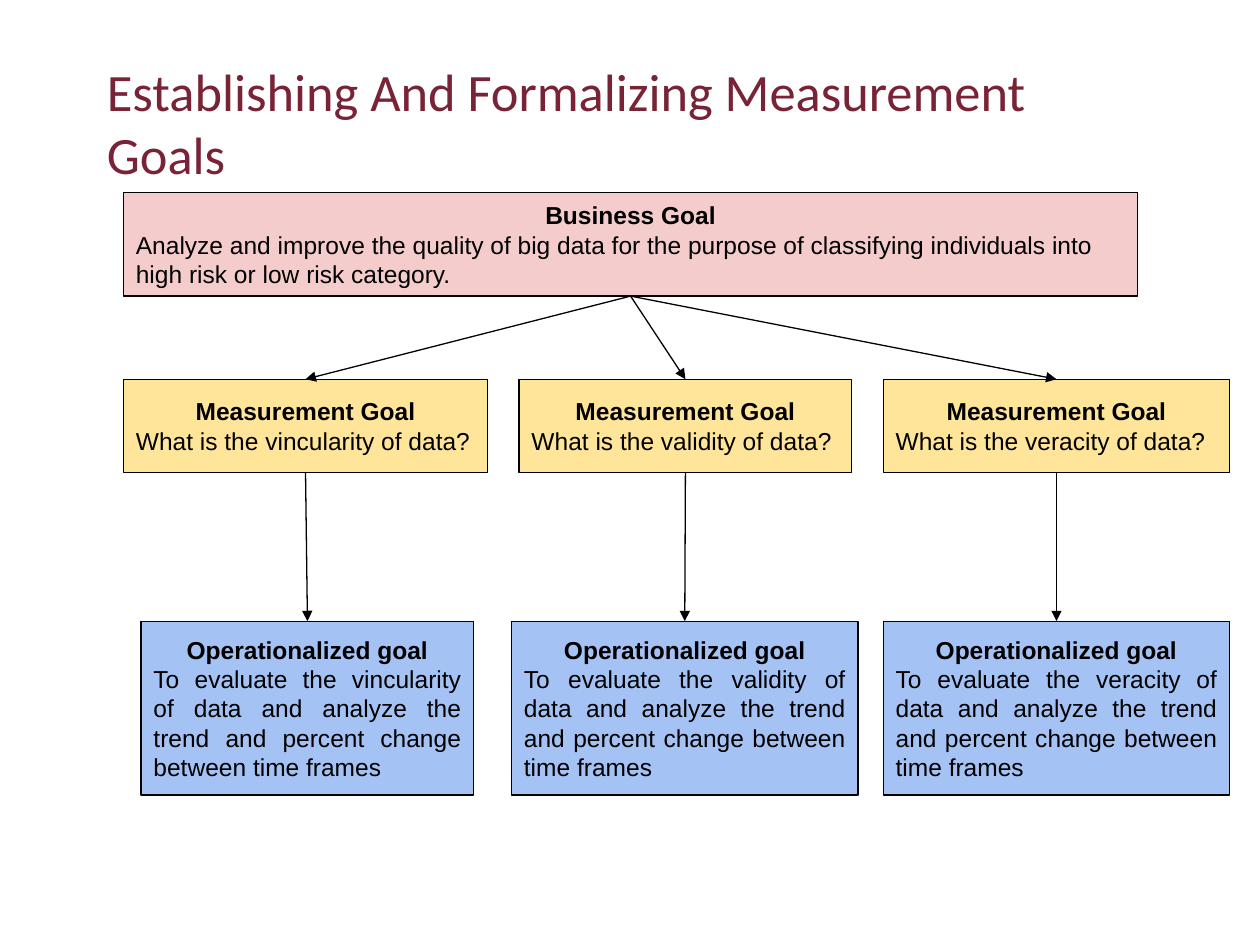
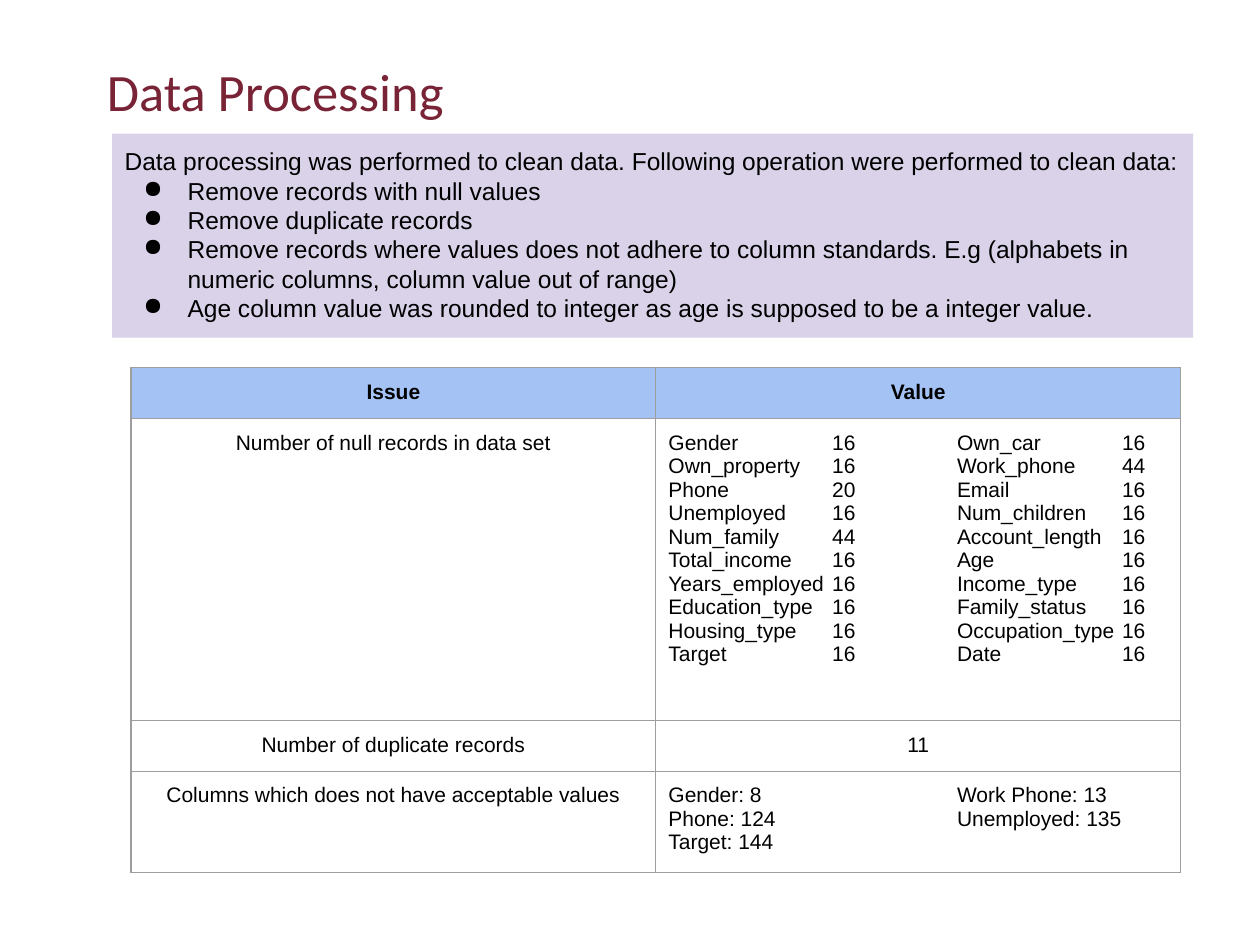
from lxml import etree
from pptx import Presentation
from pptx.dml.color import RGBColor
from pptx.enum import shapes, text
from pptx.oxml import parse_xml
from pptx.oxml.ns import nsdecls, qn
from pptx import util as u

# Shared style
BLACK, MAROON, GREY = "000000", "782336", "9E9E9E"
PINK, YELLOW, BLUE, LILAC = "F4CCCC", "FFE599", "A4C2F4", "D9D2E9"
LEFT, CENTER, JUSTIFY = text.PP_ALIGN.LEFT, text.PP_ALIGN.CENTER, text.PP_ALIGN.JUSTIFY
TOP, MIDDLE = text.MSO_ANCHOR.TOP, text.MSO_ANCHOR.MIDDLE
PADDING = u.Inches(0.1)


def color(hex_string):
    return RGBColor.from_string(hex_string)


def write(frame, lines, size=14, font="Arial", ink=BLACK, align=LEFT, bold=False,
          bold_first=False, bullet_from=None, tabs=(), anchor=TOP):
    """Write one paragraph per line; bold_first makes a bold, centred heading."""
    frame.word_wrap = True
    frame.vertical_anchor = anchor
    for index, line in enumerate(lines):
        paragraph = frame.paragraphs[0] if index == 0 else frame.add_paragraph()
        heading = bold_first and index == 0
        paragraph.alignment = CENTER if heading else align
        run = paragraph.add_run()
        run.text = line
        run.font.name, run.font.size = font, u.Pt(size)
        run.font.bold = bold or heading
        run.font.color.rgb = color(ink)
        properties = paragraph._p.get_or_add_pPr()
        if bullet_from is not None and index >= bullet_from:
            properties.set("marL", str(u.Inches(0.5)))
            properties.set("indent", str(u.Inches(-0.35)))
            etree.SubElement(properties, qn("a:buChar")).set("char", "●")
        if tabs:
            stops = etree.SubElement(properties, qn("a:tabLst"))
            for position in tabs:
                stop = etree.SubElement(stops, qn("a:tab"))
                stop.set("pos", str(u.Inches(position)))
                stop.set("algn", "l")


presentation = Presentation()
presentation.slide_width, presentation.slide_height = u.Inches(10), u.Inches(7.5)

# Both slides with their titles
slides = []
for title in ("Establishing And Formalizing Measurement Goals", "Data Processing"):
    slide = presentation.slides.add_slide(presentation.slide_layouts[6])
    title_box = slide.shapes.add_textbox(*map(u.Inches, (0.75, 0.42, 8.5, 0.8)))
    write(title_box.text_frame, [title], size=30, font="Calibri", ink=MAROON)
    slides.append(slide)
goals_slide, processing_slide = slides

# Goal tree: one row per level, one column per topic
business_row, measurement_row, operation_row = (1.53, 0.82), (3.01, 0.74), (4.93, 1.38)
columns = [  # topic, then left and width of the measurement and operationalized goals
    ("vincularity", (0.98, 2.89), (1.12, 2.64)),
    ("validity", (4.12, 2.64), (4.06, 2.75)),
    ("veracity", (7.01, 2.75), (7.01, 2.75)),
]
goals = [((0.98, 8.05), business_row, PINK, LEFT, "Business Goal",
          "Analyze and improve the quality of big data for the purpose of "
          "classifying individuals into high risk or low risk category.")]
for topic, measurement_span, operation_span in columns:
    goals.append((measurement_span, measurement_row, YELLOW, LEFT, "Measurement Goal",
                  f"What is the {topic} of data?"))
    goals.append((operation_span, operation_row, BLUE, JUSTIFY, "Operationalized goal",
                  f"To evaluate the {topic} of data and analyze the trend "
                  "and percent change between time frames"))

boxes = []
for (left, width), (top, height), fill, align, heading, body in goals:
    box = goals_slide.shapes.add_shape(
        shapes.MSO_SHAPE.RECTANGLE, *map(u.Inches, (left, top, width, height)))
    box.shadow.inherit = False
    box.fill.solid()
    box.fill.fore_color.rgb = color(fill)
    box.line.color.rgb = color(BLACK)
    box.line.width = u.Pt(0.75)
    write(box.text_frame, [heading, body], align=align, bold_first=True, anchor=MIDDLE)
    boxes.append(box)

# Arrows from the bottom of each goal to the top of the next
business, *lower = boxes
measurements, operations = lower[::2], lower[1::2]
links = [(business, goal) for goal in measurements] + list(zip(measurements, operations))
for parent, child in links:
    arrow = goals_slide.shapes.add_connector(shapes.MSO_CONNECTOR.STRAIGHT, 0, 0, 0, 0)
    arrow.begin_connect(parent, 2)
    arrow.end_connect(child, 0)
    arrow.line.color.rgb = color(BLACK)
    arrow.line.width = u.Pt(0.75)
    etree.SubElement(arrow.line._get_or_add_ln(), qn("a:tailEnd")).set("type", "triangle")
    etree.SubElement(arrow._element.spPr, qn("a:effectLst"))

# Cleaning steps
steps = processing_slide.shapes.add_shape(
    shapes.MSO_SHAPE.RECTANGLE, *map(u.Inches, (0.89, 1.06, 8.58, 1.62)))
steps.shadow.inherit = False
steps.fill.solid()
steps.fill.fore_color.rgb = color(LILAC)
steps.line.fill.background()
steps.text_frame.margin_top = steps.text_frame.margin_bottom = PADDING
write(steps.text_frame, [
    "Data processing was performed to clean data. Following operation were performed to clean data:",
    "Remove records with null values",
    "Remove duplicate records",
    "Remove records where values does not adhere to column standards. "
    "E.g (alphabets in numeric columns, column value out of range)",
    "Age column value was rounded to integer as age is supposed to be a integer value.",
], bullet_from=1)

# Issue table
null_counts = [
    ("Gender", "16", "Own_car", "16"),
    ("Own_property", "16", "Work_phone", "44"),
    ("Phone", "20", "Email", "16"),
    ("Unemployed", "16", "Num_children", "16"),
    ("Num_family", "44", "Account_length", "16"),
    ("Total_income", "16", "Age", "16"),
    ("Years_employed", "16", "Income_type", "16"),
    ("Education_type", "16", "Family_status", "16"),
    ("Housing_type", "16", "Occupation_type", "16"),
    ("Target", "16", "Date", "16"),
]
unacceptable = [("Gender: 8", "Work Phone: 13"), ("Phone: 124", "Unemployed: 135"),
                ("Target: 144",)]
issues = [  # height, issue, value lines, tab stops of the value
    (0.4, "Issue", ["Value"], ()),
    (2.4, "Number of null records in data set", map("\t".join, null_counts), (1.3, 2.29, 3.6)),
    (0.4, "Number of duplicate records", ["11"], ()),
    (0.8, "Columns which does not have acceptable values", map("\t".join, unacceptable), (2.29,)),
]
table = processing_slide.shapes.add_table(
    len(issues), 2, *map(u.Inches, (1.04, 2.92, 8.33, 4))).table
table.first_row = table.horz_banding = False
for row, (height, issue, value, tabs) in enumerate(issues):
    table.rows[row].height = u.Inches(height)
    for column, (lines, stops) in enumerate((([issue], ()), (value, tabs))):
        cell = table.cell(row, column)
        cell.margin_left = cell.margin_right = PADDING
        cell.margin_top = cell.margin_bottom = PADDING
        write(cell.text_frame, lines, size=12, bold=row == 0, tabs=stops,
              align=LEFT if stops else CENTER)
        for side in "LRTB":
            cell._tc.get_or_add_tcPr().append(parse_xml(
                f'<a:ln{side} {nsdecls("a")} w="{u.Pt(0.75)}"><a:solidFill>'
                f'<a:srgbClr val="{GREY}"/></a:solidFill></a:ln{side}>'))
        if row == 0:
            cell.fill.solid()
            cell.fill.fore_color.rgb = color(BLUE)
        else:
            cell.fill.background()

presentation.save("out.pptx")
